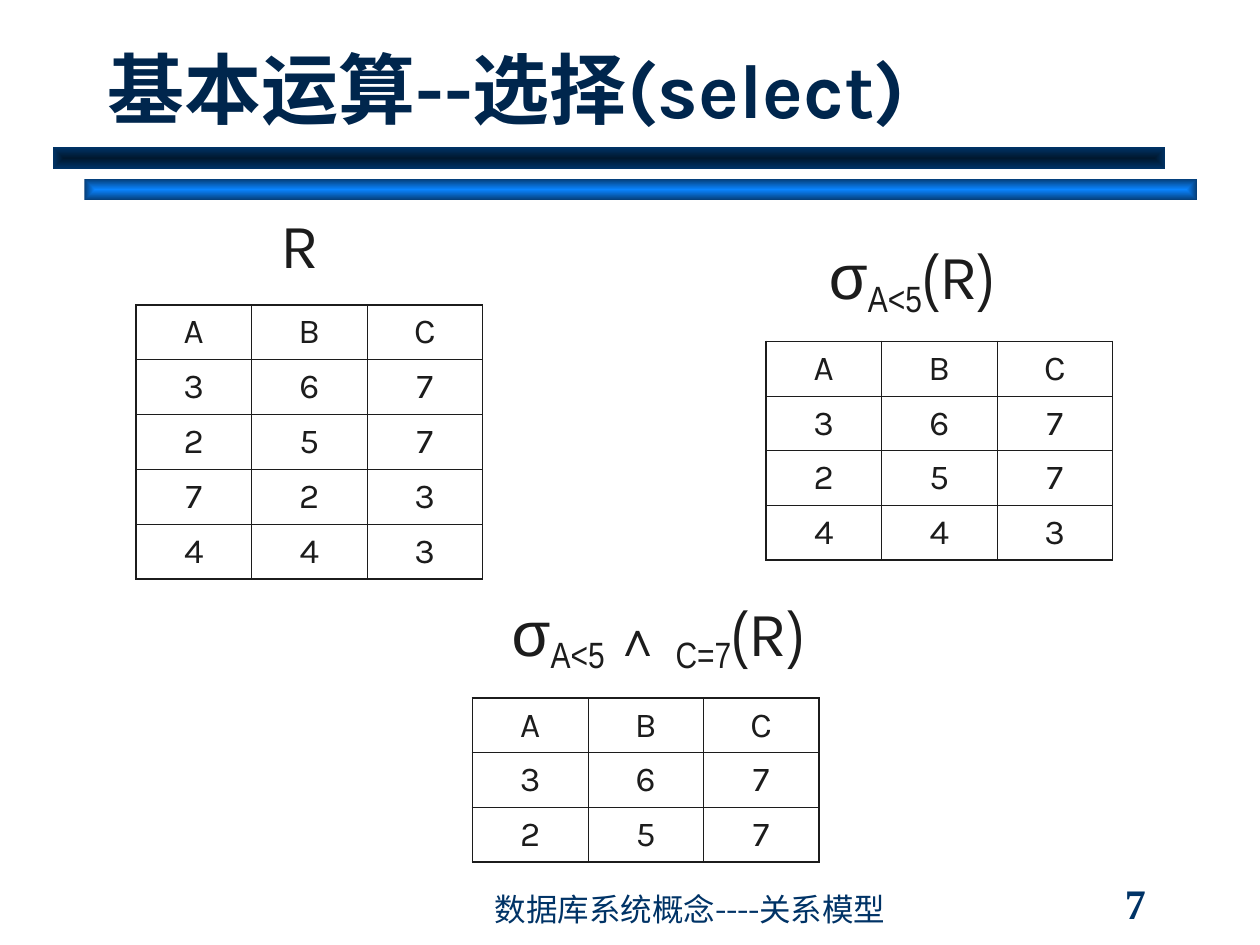
from lxml import etree
from pptx import Presentation
from pptx.dml.color import RGBColor
from pptx.enum.shapes import MSO_SHAPE
from pptx.enum.text import MSO_ANCHOR as Anchor, MSO_AUTO_SIZE as AutoSize, PP_ALIGN as Align
from pptx.oxml import parse_xml
from pptx.oxml.ns import nsdecls, qn
from pptx.util import Inches, Pt

COLORS = {
    "title": "00264D", "footer": "003366", "ink": "1C1C1C",
    "bright": "0A84FF", "bright_edge": "053D76",
    "dark": "00182F", "dark_edge": "003366",
}
TITLE = "基本运算--选择(select)"
FOOTER = "数据库系统概念----关系模型"
PAGE = "7"

# left, top, centre colour, edge colour
BARS = [
    (0.67, 1.42, "bright", "bright_edge"),
    (0.42, 1.17, "dark", "dark_edge"),
]

# A run is text, font, size, baseline shift in percent
SIGMA = ("σ", "Arial", 36, 0)
OF_R = [("(", "Arial Narrow", 36, 0), ("R", "Karla", 36, 0), (") ", "Arial Narrow", 36, 0)]

RELATIONS = [
    {"label": [("R", "Karla", 36, 0)],
     "label_box": (1.92, 1.58, 0.92, 0.7),
     "table_at": (1.08, 2.42), "row_height": 0.435,
     "rows": ["ABC", "367", "257", "723", "443"]},
    {"label": [SIGMA, ("A<5", "Arial Narrow", 36, -20), *OF_R],
     "label_box": (6.42, 1.83, 1.75, 0.76),
     "table_at": (6.08, 2.71), "row_height": 0.433,
     "rows": ["ABC", "367", "257", "443"]},
    {"label": [SIGMA, ("A<5 ", "Arial Narrow", 36, -20), ("∧ ", "Arial", 28, 0),
               ("C=7", "Arial Narrow", 36, -20), *OF_R],
     "label_box": (3.75, 4.66, 3.06, 0.76),
     "table_at": (3.75, 5.54), "row_height": 0.433,
     "rows": ["ABC", "367", "257"]},
]
TABLE_WIDTH = 2.75
OUTER_LINE, INNER_LINE = 1.08, 0.45


def add_run(paragraph, text, font, size, color, bold=False, baseline=0):
    run = paragraph.add_run()
    run.text = text
    run.font.name = font
    run.font.size = Pt(size)
    run.font.bold = bold
    run.font.color.rgb = RGBColor.from_string(COLORS[color])
    if baseline:
        run.font._element.set("baseline", str(baseline * 1000))


def add_text_box(slide, box, anchor=Anchor.TOP):
    """Add a wrapping text box and return its first paragraph."""
    frame = slide.shapes.add_textbox(*map(Inches, box)).text_frame
    frame.word_wrap = True
    frame.vertical_anchor = anchor
    return frame.paragraphs[0]


def add_bar(slide, left, top, center, edge):
    """Add a bar shaded from its centre out to its edges."""
    bar = slide.shapes.add_shape(
        MSO_SHAPE.RECTANGLE, Inches(left), Inches(top), Inches(8.83), Inches(0.17))
    bar.shadow.inherit = False
    bar.line.fill.background()
    gradient = parse_xml(
        f'<a:gradFill {nsdecls("a")} rotWithShape="1"><a:gsLst>'
        f'<a:gs pos="0"><a:srgbClr val="{COLORS[center]}"/></a:gs>'
        f'<a:gs pos="100000"><a:srgbClr val="{COLORS[edge]}"/></a:gs></a:gsLst>'
        '<a:path path="rect"><a:fillToRect l="50000" t="50000" r="50000" b="50000"/></a:path>'
        '</a:gradFill>')
    bar._element.spPr.find(qn("a:prstGeom")).addnext(gradient)


def set_borders(cell, widths):
    """Draw the left, right, top and bottom borders, widths in points."""
    properties = cell._tc.get_or_add_tcPr()
    for position, (side, width) in enumerate(zip("LRTB", widths)):
        line = etree.Element(qn(f"a:ln{side}"), w=str(Pt(width)))
        fill = etree.SubElement(line, qn("a:solidFill"))
        etree.SubElement(fill, qn("a:srgbClr"), val=COLORS["ink"])
        properties.insert(position, line)


def add_relation(slide, relation):
    rows = relation["rows"]
    last_row, last_column = len(rows) - 1, len(rows[0]) - 1
    left, top = relation["table_at"]
    table = slide.shapes.add_table(
        len(rows), len(rows[0]), Inches(left), Inches(top),
        Inches(TABLE_WIDTH), Inches(relation["row_height"] * len(rows))).table
    table.first_row = table.horz_banding = False
    for r, values in enumerate(rows):
        for c, value in enumerate(values):
            cell = table.cell(r, c)
            cell.fill.background()
            cell.vertical_anchor = Anchor.MIDDLE
            paragraph = cell.text_frame.paragraphs[0]
            paragraph.alignment = Align.CENTER
            add_run(paragraph, value, "Karla", 20, "ink")
            on_edge = (c == 0, c == last_column, r == 0, r == last_row)
            set_borders(cell, [OUTER_LINE if edge else INNER_LINE for edge in on_edge])

    label = add_text_box(slide, relation["label_box"])
    label.alignment = Align.CENTER
    for text, font, size, baseline in relation["label"]:
        add_run(label, text, font, size, "ink", baseline=baseline)


def main():
    deck = Presentation()
    deck.slide_width, deck.slide_height = Inches(10), Inches(7.5)
    slide = deck.slides.add_slide(deck.slide_layouts[5])

    for bar in BARS:
        add_bar(slide, *bar)

    title = slide.shapes.title
    title.left, title.top, title.width, title.height = map(Inches, (0.75, 0.25, 8.52, 0.86))
    title.text_frame.auto_size = AutoSize.NONE
    title.text_frame.vertical_anchor = Anchor.BOTTOM
    heading = title.text_frame.paragraphs[0]
    heading.alignment = Align.LEFT
    add_run(heading, TITLE, "Karla", 44, "title", bold=True)

    page = add_text_box(slide, (8.83, 7, 1.08, 0.33), Anchor.MIDDLE)
    add_run(page, PAGE, "Times New Roman", 24, "footer", bold=True)
    footer = add_text_box(slide, (3.83, 7.08, 4.08, 0.33), Anchor.BOTTOM)
    add_run(footer, FOOTER, "Karla", 18, "footer")

    for relation in RELATIONS:
        add_relation(slide, relation)

    deck.save("out.pptx")


if __name__ == "__main__":
    main()
